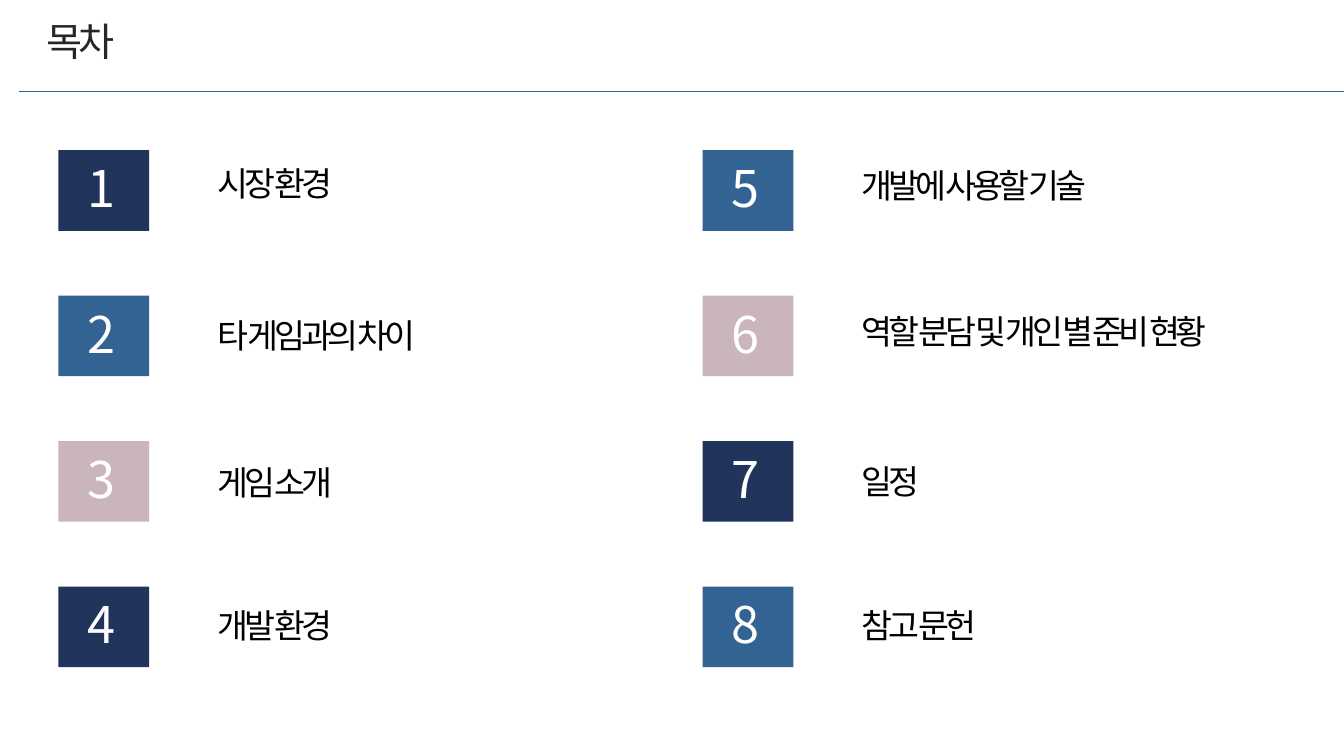
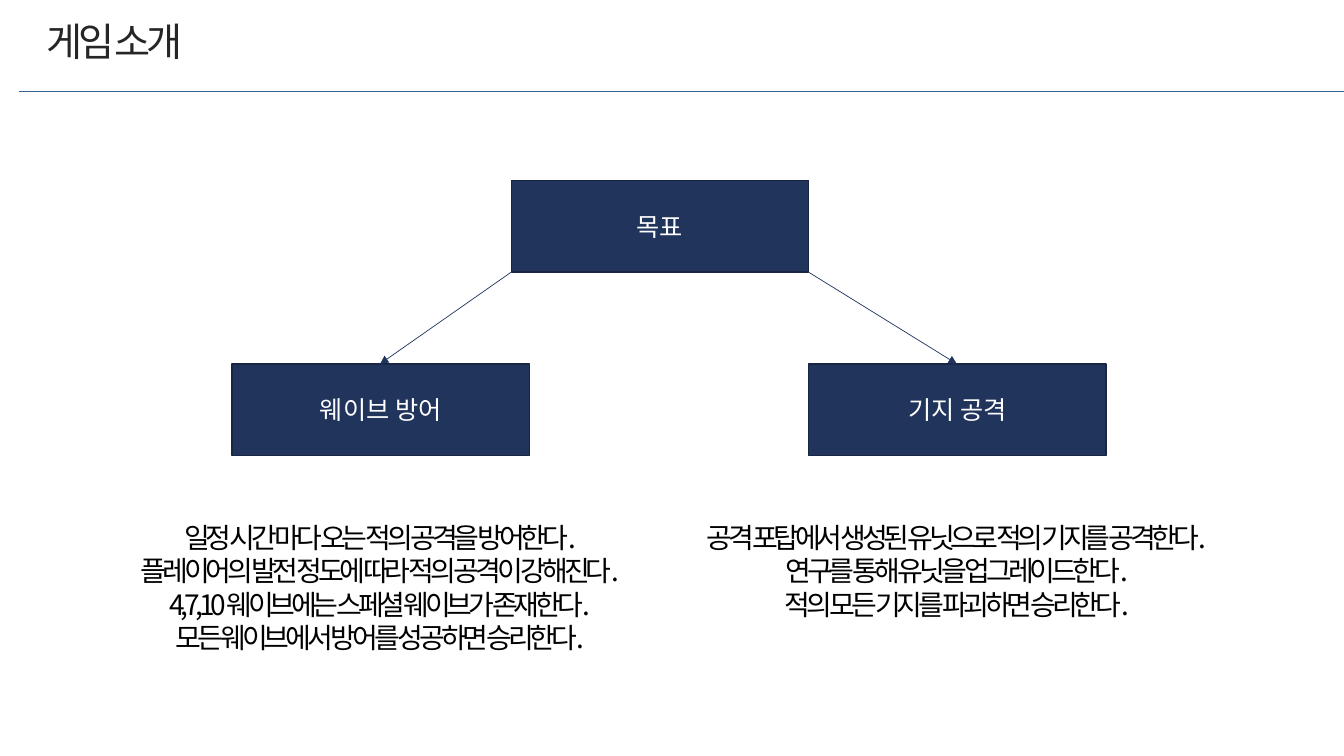
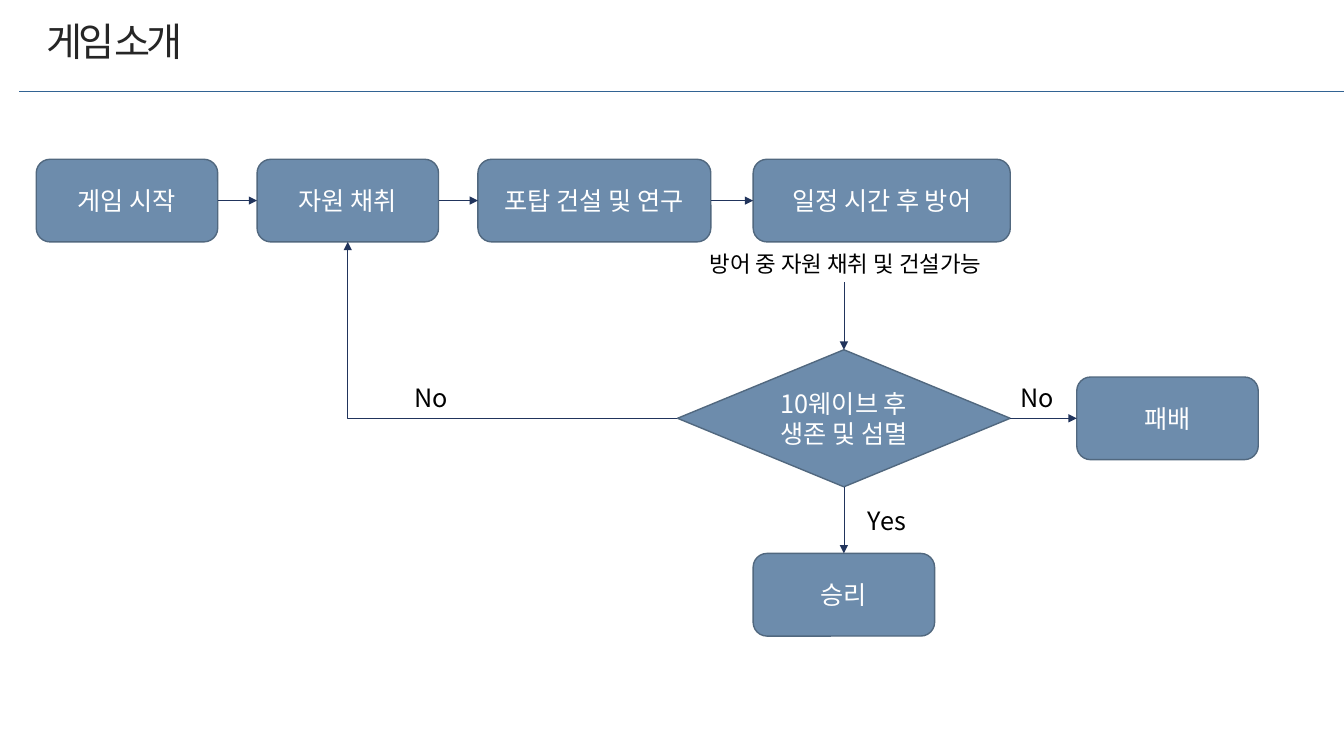
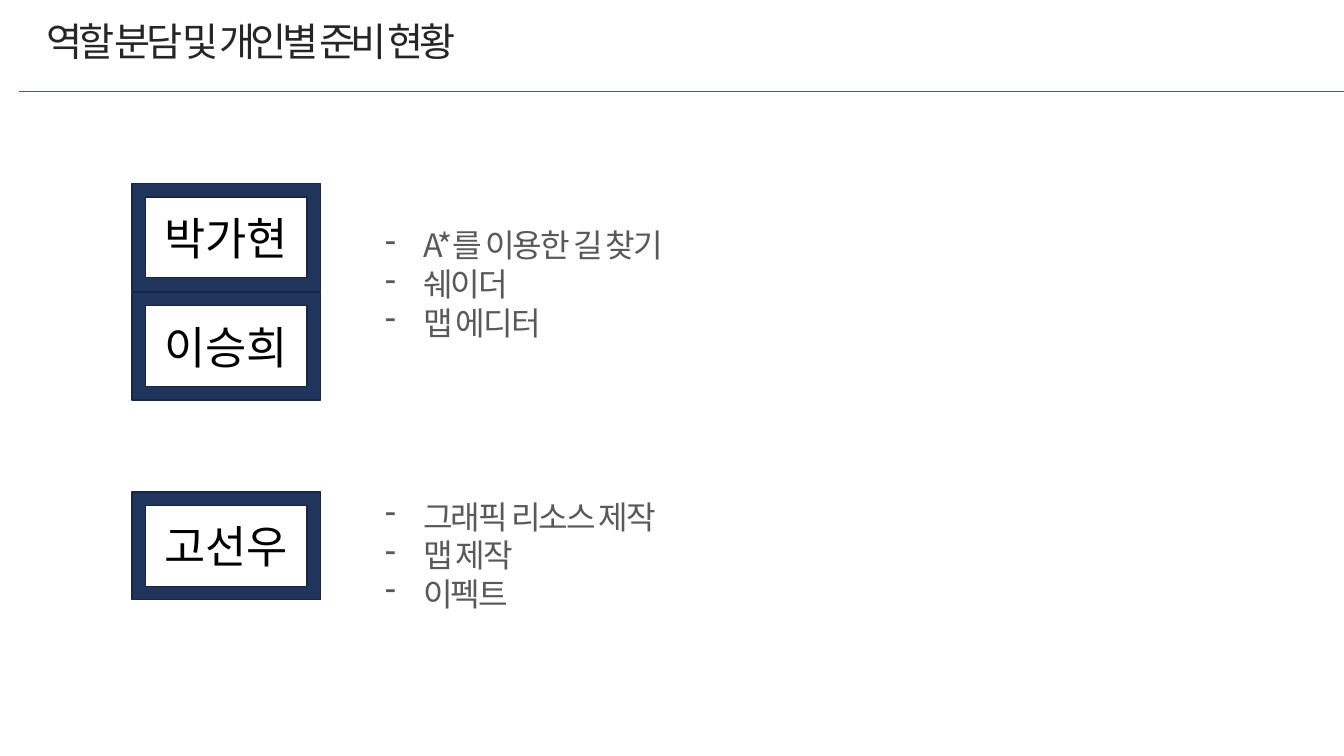
from lxml import etree
from pptx import Presentation
from pptx import util as u
from pptx.dml.color import RGBColor
from pptx.enum import shapes, text
from pptx.oxml.ns import qn

# Shared style
FONT = "Noto Sans CJK KR"
NAVY, BLUE, PINK, STEEL = "21345C", "326393", "CAB5BD", "6D8CAC"
NAVY_EDGE, STEEL_EDGE = "182644", "51687F"
WHITE, BLACK, TITLE_GRAY, LIST_GRAY = "FFFFFF", "000000", "262626", "595959"
LEFT, CENTER = text.PP_ALIGN.LEFT, text.PP_ALIGN.CENTER
RECTANGLE = shapes.MSO_SHAPE.RECTANGLE
ROUNDED = shapes.MSO_SHAPE.ROUNDED_RECTANGLE
DIAMOND = shapes.MSO_SHAPE.DIAMOND
FRAME = shapes.MSO_SHAPE.FRAME
color = RGBColor.from_string


def write(shape, lines, size, ink, align=LEFT, spacing=0, bullet=None):
    """Fill a shape with one paragraph per line; spacing is in points."""
    frame = shape.text_frame
    frame.text = lines
    for paragraph in frame.paragraphs:
        paragraph.alignment = align
        if bullet:
            properties = paragraph._p.get_or_add_pPr()
            properties.set("marL", str(u.Inches(0.38)))
            properties.set("indent", str(u.Inches(-0.38)))
            etree.SubElement(properties, qn("a:buChar")).set("char", bullet)
        for run in paragraph.runs:
            run.font.size = u.Pt(size)
            run.font.color.rgb = color(ink)
            run.font.name = FONT
            run_properties = run._r.get_or_add_rPr()
            etree.SubElement(run_properties, qn("a:ea")).set("typeface", FONT)
            run_properties.set("spc", str(int(spacing * 100)))


def add_item(slide, at, kind=None, fill=None, edge=None, wrap=False):
    """Add a preset shape, or a growing text box when no kind is given."""
    place = [u.Inches(length) for length in at]
    if kind is None:
        box = slide.shapes.add_textbox(*place)
        box.text_frame.word_wrap = wrap
        box.text_frame.auto_size = text.MSO_AUTO_SIZE.SHAPE_TO_FIT_TEXT
        return box
    shape = slide.shapes.add_shape(kind, *place)
    shape.shadow.inherit = False
    shape.fill.solid()
    shape.fill.fore_color.rgb = color(fill)
    if edge:
        shape.line.color.rgb = color(edge)
        shape.line.width = u.Pt(1)
    else:
        shape.line.fill.background()
    return shape


presentation = Presentation()
presentation.slide_width = u.Inches(13.33)
presentation.slide_height = u.Inches(7.5)

# Slides with their titles
slides = []
for title_text, title_width in [
    ("목차", 0.9),
    ("게임 소개", 1.69),
    ("게임 소개", 1.69),
    ("역할 분담 및 개인별 준비 현황", 4.86),
]:
    slide = presentation.slides.add_slide(presentation.slide_layouts[5])
    title = slide.shapes.title
    title.left, title.top = u.Inches(0.36), u.Inches(0.12)
    title.width, title.height = u.Inches(title_width), u.Inches(0.57)
    write(title, title_text, 28, TITLE_GRAY, spacing=-3)
    title.text_frame.word_wrap = False
    title.text_frame.vertical_anchor = text.MSO_ANCHOR.TOP
    title.text_frame.auto_size = text.MSO_AUTO_SIZE.SHAPE_TO_FIT_TEXT
    slides.append(slide)
contents, goals, flow, roles = slides

# Contents: two columns of four numbered squares
chapters = [
    ("시장 환경", 1.57, 1.45),
    ("타 게임과의 차이", 3.08, 2.4),
    ("게임 소개", 4.53, 1.45),
    ("개발 환경", 5.95, 1.45),
    ("개발에 사용할 기술", 1.59, 2.7),
    ("역할 분담 및 개인 별 준비 현황", 3.04, 4.16),
    ("일정", 4.52, 0.79),
    ("참고 문헌", 5.95, 1.45),
]
for index, (chapter, label_top, label_width) in enumerate(chapters):
    column, row = divmod(index, 4)
    left, top = 0.58 + 6.39 * column, 1.49 + 1.443 * row
    fill = (NAVY, BLUE, PINK)[index % 3]
    add_item(contents, (left, top, 0.9, 0.8), RECTANGLE, fill)
    number = add_item(contents, (left + 0.19, top + 0.02, 0.45, 0.71))
    write(number, str(index + 1), 36, WHITE, CENTER, -3)
    label = add_item(contents, (left + 1.48, label_top, label_width, 0.5))
    write(label, chapter, 24, BLACK, spacing=-3)

# Goals: one box leading to two
for goal, left, top in [
    ("목표", 5.07, 1.79),
    ("웨이브 방어", 2.3, 3.61),
    ("기지 공격", 8.02, 3.61),
]:
    box = add_item(goals, (left, top, 2.95, 0.91), RECTANGLE, NAVY, NAVY_EDGE)
    write(box, goal, 18, WHITE, CENTER)

for left, height, explanation in [
    (0.74, 1.45, "일정 시간 마다 오는 적의 공격을 방어한다.\n"
                 "플레이어의 발전 정도에 따라 적의 공격이 강해진다.\n"
                 "4,7,10웨이브에는 스페셜 웨이브가 존재한다.\n"
                 "모든 웨이브에서 방어를 성공하면 승리한다."),
    (6.46, 1.11, "공격 포탑에서 생성된 유닛으로 적의 기지를 공격한다.\n"
                 "연구를 통해 유닛을 업그레이드한다.\n"
                 "적의 모든 기지를 파괴하면 승리한다."),
]:
    box = add_item(goals, (left, 5.11, 6.06, height), wrap=True)
    write(box, explanation, 20, BLACK, CENTER, -3)

# Flow chart: steps, decision and labels
for step, kind, at in [
    ("게임 시작", ROUNDED, (0.36, 1.58, 1.8, 0.82)),
    ("자원 채취", ROUNDED, (2.55, 1.58, 1.8, 0.82)),
    ("포탑 건설 및 연구", ROUNDED, (4.74, 1.58, 2.31, 0.82)),
    ("일정 시간 후 방어", ROUNDED, (7.47, 1.58, 2.55, 0.82)),
    ("10웨이브 후\n생존 및 섬멸", DIAMOND, (6.72, 3.47, 3.3, 1.36)),
    ("승리", ROUNDED, (7.47, 5.49, 1.8, 0.82)),
    ("패배", ROUNDED, (10.68, 3.74, 1.8, 0.82)),
]:
    write(add_item(flow, at, kind, STEEL, STEEL_EDGE), step, 18, WHITE, CENTER)

for label, size, at in [
    ("No", 18, (4.01, 3.74, 0.53, 0.4)),
    ("No", 18, (10.02, 3.74, 0.53, 0.4)),
    ("Yes", 18, (8.51, 4.96, 0.64, 0.4)),
    ("방어 중 자원 채취 및 건설가능", 16, (6.94, 2.43, 3.35, 0.37)),
]:
    write(add_item(flow, at), label, size, BLACK)

# Roles: framed names and task lists
for name, top in [("박가현", 1.82), ("이승희", 2.9), ("고선우", 4.88)]:
    add_item(roles, (1.31, top, 1.87, 1.07), FRAME, NAVY, NAVY_EDGE)
    write(add_item(roles, (1.53, top + 0.22, 1.43, 0.64)), name, 32, BLACK)

for top, tasks in [
    (2.19, "A*를 이용한 길 찾기\n쉐이더\n맵 에디터"),
    (4.88, "그래픽 리소스 제작\n맵 제작\n이펙트"),
]:
    box = add_item(roles, (3.72, top, 6.89, 1.26), wrap=True)
    write(box, tasks, 23, LIST_GRAY, spacing=-1.5, bullet="-")

# Title rules and arrows
lines = [(slide, (0.19, 0.91, 13.33, 0.91), BLUE, "rule") for slide in slides]
lines += [(goals, ends, NAVY, "arrow") for ends in [
    (5.07, 2.7, 3.77, 3.61),
    (8.02, 2.7, 9.49, 3.61),
]]
lines += [(flow, ends, NAVY, "arrow") for ends in [
    (2.16, 1.99, 2.55, 1.99),
    (4.35, 1.99, 4.74, 1.99),
    (7.05, 1.99, 7.47, 1.99),
    (8.37, 2.8, 8.37, 3.47),
    (8.37, 4.83, 8.37, 5.49),
    (10.02, 4.15, 10.68, 4.15),
]]
lines.append((flow, (6.72, 4.15, 3.45, 2.4), NAVY, "bent arrow"))
for slide, ends, ink, style in lines:
    connector = slide.shapes.add_connector(
        shapes.MSO_CONNECTOR.STRAIGHT, *[u.Inches(end) for end in ends])
    connector.line.color.rgb = color(ink)
    connector.line.width = u.Pt(0.5)
    properties = connector._element.spPr
    if style == "bent arrow":
        properties.find(qn("a:prstGeom")).set("prst", "bentConnector2")
    if style != "rule":
        outline = properties.find(qn("a:ln"))
        etree.SubElement(outline, qn("a:tailEnd")).set("type", "triangle")
    etree.SubElement(properties, qn("a:effectLst"))

presentation.save("out.pptx")
